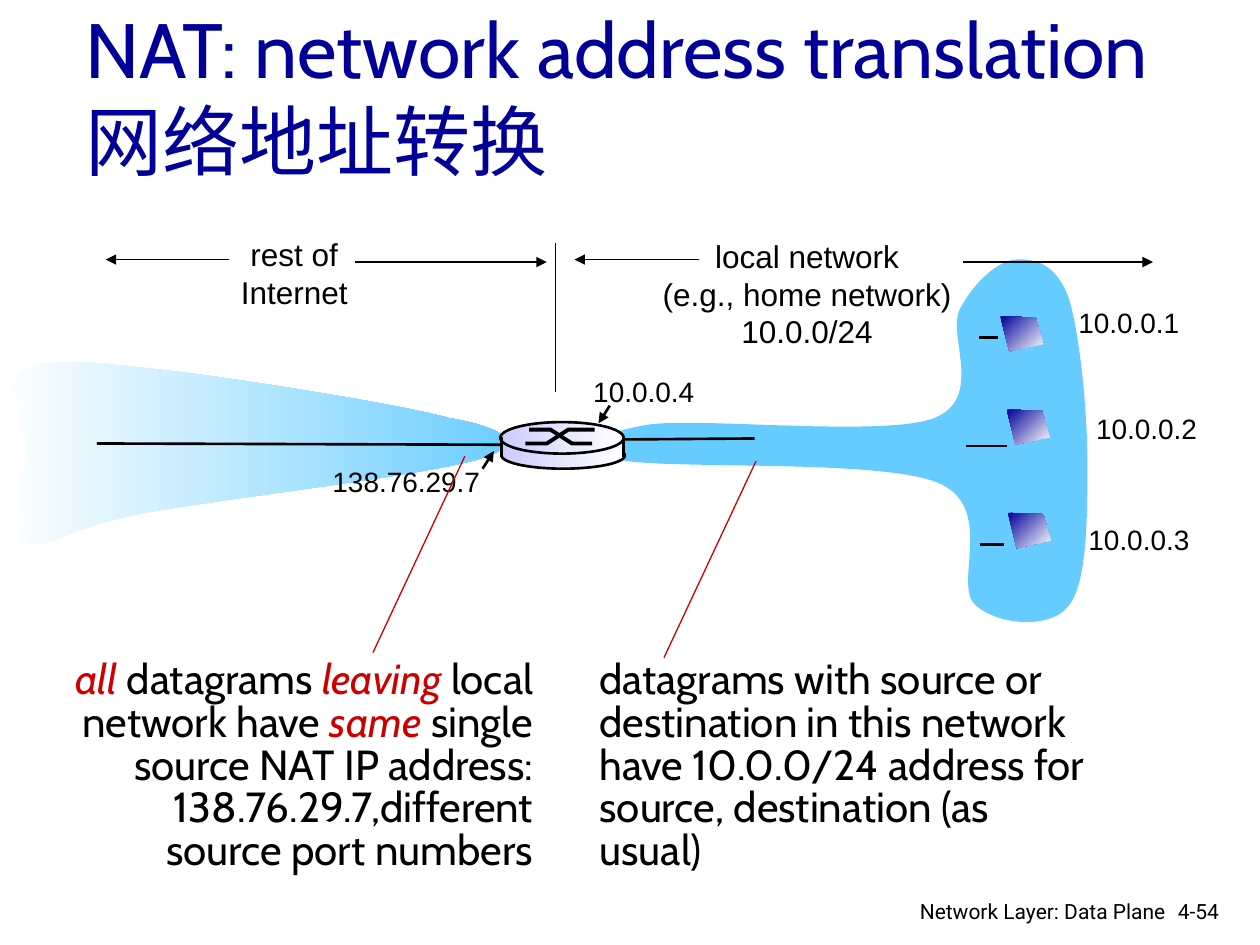
import lxml.etree
import pptx
import pptx.dml.color
import pptx.enum.dml
import pptx.enum.shapes
import pptx.enum.text
import pptx.oxml.ns
import pptx.util

SCALE = 9144  # EMU in one px, 100 px to the inch
BLACK, RED, NAVY, SKY, WHITE, LILAC = "000000", "CC0000", "000099", "66CCFF", "FFFFFF", "CCCCFF"
ALIGN = pptx.enum.text.PP_ALIGN
SHAPE = pptx.enum.shapes.MSO_SHAPE
qn = pptx.oxml.ns.qn


def emu(px):
    return pptx.util.Emu(round(px * SCALE))


def color(hex_string):
    return pptx.dml.color.RGBColor.from_string(hex_string)


def set_attributes(target, values):
    for name, value in values.items():
        setattr(target, name, value)


def bend(shape):
    """Turn each three line segments of a freeform into one cubic Bezier curve."""
    for path in shape._element.iter(qn("a:path")):
        segments = path.findall(qn("a:lnTo"))
        for first, second, third in zip(segments[::3], segments[1::3], segments[2::3]):
            curve = lxml.etree.Element(qn("a:cubicBezTo"))
            first.addprevious(curve)
            for segment in (first, second, third):
                curve.append(segment[0])
                path.remove(segment)


class Canvas:
    def __init__(self, slide):
        self.slide = slide
        self.label = {"name": "Arial", "size": pptx.util.Pt(16)}
        self.heading = {"name": "Arial", "size": pptx.util.Pt(18)}
        self.body = {"name": "Cabin", "size": pptx.util.Pt(24)}
        self.title = {"name": "Cabin", "size": pptx.util.Pt(44)}
        self.footer = {"name": "Roboto", "size": pptx.util.Pt(12)}

    def text(self, box, paragraphs, font, wrap=False, hue=BLACK, anchor="TOP", **layout):
        """Add a text box; a paragraph is a string, or a list of strings and (red italic,) tuples."""
        frame = self.slide.shapes.add_textbox(*map(emu, box)).text_frame
        sizes = pptx.enum.text.MSO_AUTO_SIZE
        set_attributes(frame, {
            "word_wrap": wrap,
            "auto_size": sizes.NONE if wrap else sizes.SHAPE_TO_FIT_TEXT,
            "vertical_anchor": getattr(pptx.enum.text.MSO_ANCHOR, anchor),
        })
        for index, parts in enumerate(paragraphs):
            paragraph = frame.add_paragraph() if index else frame.paragraphs[0]
            set_attributes(paragraph, layout)
            for part in [parts] if isinstance(parts, str) else parts:
                stressed = isinstance(part, tuple)
                for number, line in enumerate((part[0] if stressed else part).split("\n")):
                    if number:
                        paragraph.add_line_break()
                    run = paragraph.add_run()
                    run.text = line
                    set_attributes(run.font, {**font, "italic": stressed})
                    run.font.color.rgb = color(RED if stressed else hue)

    def line(self, x1, y1, x2, y2, width=1.5, hue=BLACK, arrow=False):
        connector = self.slide.shapes.add_connector(
            pptx.enum.shapes.MSO_CONNECTOR.STRAIGHT, *map(emu, (x1, y1, x2, y2)))
        connector.line.width = pptx.util.Pt(width)
        connector.line.color.rgb = color(hue)
        if arrow:
            lxml.etree.SubElement(connector.line._get_or_add_ln(), qn("a:tailEnd"), type="triangle")
        lxml.etree.SubElement(connector._element.spPr, qn("a:effectLst"))

    def paint(self, shape, fill, angle=0, width=0):
        """Fill with no color, one color or a gradient of two; the angle runs clockwise."""
        shape.shadow.inherit = False
        if fill is None:
            shape.fill.background()
        elif isinstance(fill, str):
            shape.fill.solid()
            shape.fill.fore_color.rgb = color(fill)
        else:
            shape.fill.gradient()
            shape.fill.gradient_angle = -angle % 360
            for position, (stop, hue) in enumerate(zip(shape.fill.gradient_stops, fill)):
                stop.position = position
                stop.color.rgb = color(hue)
        if width:
            shape.line.width = pptx.util.Pt(width)
            shape.line.color.rgb = color(BLACK)
        else:
            shape.line.fill.background()

    def preset(self, kind, box, fill, width=0):
        self.paint(self.slide.shapes.add_shape(kind, *map(emu, box)), fill, width=width)

    def outline(self, points, fill=None, angle=0, width=0, curved=False):
        points = [(emu(x), emu(y)) for x, y in points]
        builder = self.slide.shapes.build_freeform(*points[0])
        builder.add_line_segments(points[1:], close=fill is not None)
        shape = builder.convert_to_shape()
        if curved:
            bend(shape)
        self.paint(shape, fill, angle, width)


def draw_local_network(canvas):
    canvas.outline([
        (515, 337), (556, 331), (700, 347), (741, 332), (782, 316), (751, 266), (762, 245),
        (773, 224), (792, 207), (806, 206), (821, 205), (838, 209), (848, 236),
        (857, 264), (863, 327), (863, 368), (863, 409), (863, 463), (848, 481),
        (833, 500), (791, 496), (774, 480), (756, 464), (791, 402), (744, 383),
        (697, 364), (531, 373), (492, 365), (454, 357), (476, 343), (515, 337)],
        SKY, curved=True)


def draw_internet(canvas):
    canvas.outline([
        (357, 332), (317, 321), (197, 302), (141, 295), (85, 289), (40, 282), (20, 293),
        (0, 303), (21, 334), (21, 357), (21, 380), (4, 421), (20, 430),
        (36, 438), (55, 418), (115, 407), (175, 396), (340, 377), (381, 364),
        (421, 352), (398, 339), (357, 332)], (WHITE, SKY), curved=True)


def draw_links(canvas):
    for ends in [(467, 349, 599, 348), (799, 354, 767, 354), (777, 268, 792, 268),
                 (778, 432, 797, 432), (77, 352, 408, 353)]:
        canvas.line(*ends)


def draw_labels(canvas):
    for left, top, width, address in [
            (846, 238, 101, "10.0.0.1"), (860, 322, 101, "10.0.0.2"), (854, 410, 101, "10.0.0.3"),
            (461, 292, 101, "10.0.0.4"), (254, 364, 138, "138.76.29.7")]:
        canvas.text((left, top, width, 37), [address], canvas.label)
    for ends in [(484, 322, 475, 336), (383, 372, 392, 358)]:
        canvas.line(*ends, arrow=True)
    canvas.text((516, 183, 249, 100), ["local network", "(e.g., home network)", "10.0.0/24"],
                canvas.heading, alignment=ALIGN.CENTER)
    canvas.text((181, 182, 105, 70), ["rest of", "Internet"], canvas.heading, alignment=ALIGN.CENTER)
    for start, end, y in [(764, 915, 208), (555, 456, 206), (282, 434, 208), (182, 84, 206)]:
        canvas.line(start, y, end, y, width=0.75, arrow=True)
    canvas.line(441, 193, 441, 311, width=0.75)


def draw_notes(canvas):
    canvas.text((466, 519, 412, 146),
                ["datagrams with source or", "destination in this network",
                 "have 10.0.0/24 address for", "source, destination (as usual)"],
                canvas.body, wrap=True, line_spacing=0.85)
    canvas.text((30, 519, 403, 180),
                [[("all ",), "datagrams ", ("leaving",), " local"],
                 ["network have ", ("same",), " single source NAT IP address: "
                  "138.76.29.7,different source port numbers"]],
                canvas.body, wrap=True, line_spacing=0.85, alignment=ALIGN.RIGHT)
    for left, bottom in [(527, 522), (296, 518)]:
        canvas.line(left, bottom, left + 73, bottom - 156, width=0.75, hue=RED)


def draw_router(canvas):
    metal = (LILAC, WHITE)
    canvas.preset(SHAPE.OVAL, (398, 351, 98, 21), metal, width=1.5)
    canvas.preset(SHAPE.RECTANGLE, (398, 349, 98, 13), metal)
    canvas.preset(SHAPE.OVAL, (397, 335, 98, 25), metal, width=1.5)
    canvas.outline([(417, 352), (434, 352), (451, 341), (472, 341)], width=2.25)
    canvas.outline([(420, 341), (437, 341), (454, 352), (470, 352)], width=2.25)
    for x in (398, 495):
        canvas.line(x, 347, x, 363)


def draw_screens(canvas):
    corners = [(0, 0), (28, 1), (34, 22), (7, 28)]
    for left, top in [(794, 251), (799, 325), (800, 407)]:
        canvas.outline([(left + x, top + y) for x, y in corners], (NAVY, WHITE), angle=45)


def main():
    presentation = pptx.Presentation()
    presentation.slide_width, presentation.slide_height = emu(1000), emu(750)
    canvas = Canvas(presentation.slides.add_slide(presentation.slide_layouts[6]))
    draw_local_network(canvas)
    canvas.text((58, 25, 885, 99), ["NAT: network address translation\n网络地址转换"],
                canvas.title, wrap=True, hue=NAVY, anchor="MIDDLE")
    draw_internet(canvas)
    draw_links(canvas)
    draw_labels(canvas)
    draw_notes(canvas)
    draw_router(canvas)
    draw_screens(canvas)
    canvas.text((925, 708, 61, 30), ["4-54"], canvas.footer, wrap=True)
    canvas.text((697, 708, 238, 26), ["Network Layer: Data Plane"], canvas.footer,
                wrap=True, alignment=ALIGN.RIGHT)
    presentation.save("out.pptx")


if __name__ == "__main__":
    main()
